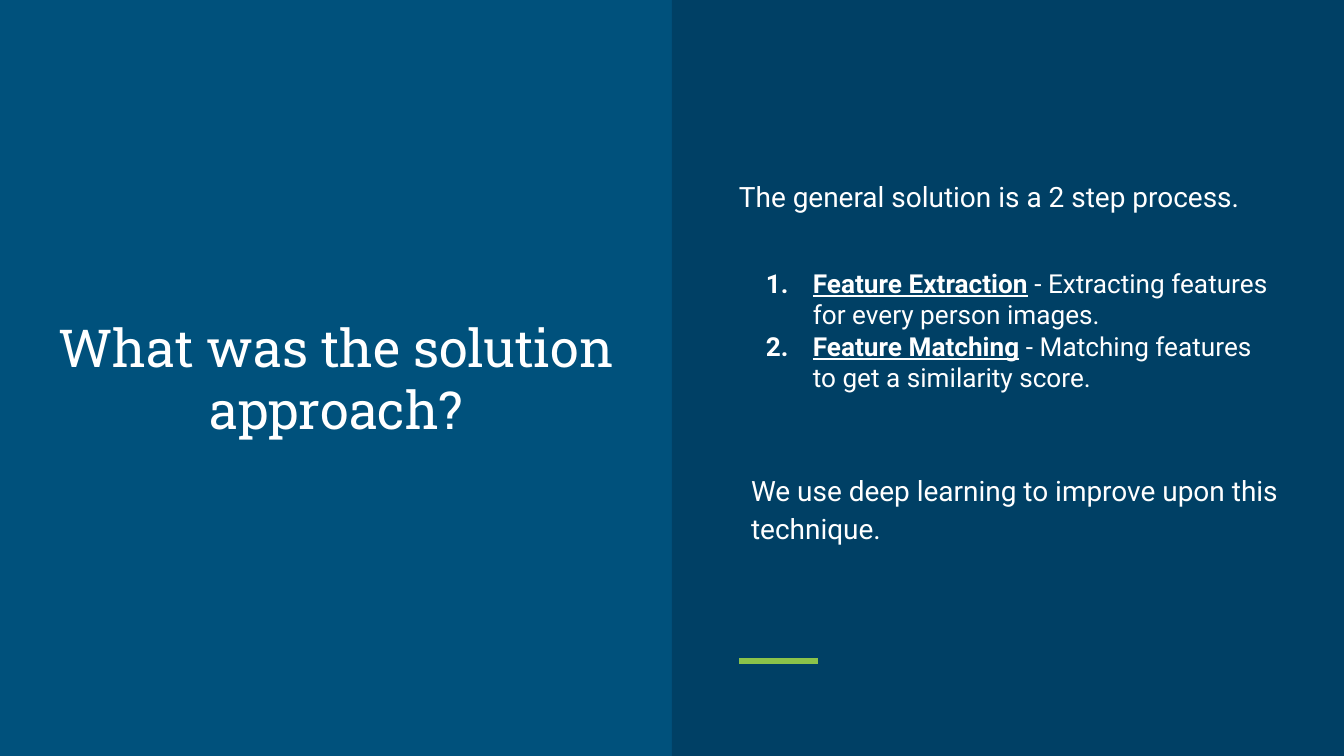
import pptx
import pptx.util
import pptx.dml.color
import pptx.enum.shapes
import pptx.enum.text
import pptx.oxml
import pptx.oxml.ns
import lxml.etree

Inches = pptx.util.Inches
Pt = pptx.util.Pt
anchor = pptx.enum.text.MSO_ANCHOR
qn = pptx.oxml.ns.qn
navy, white = "004065", "FFFFFF"


def tint(code):
    return pptx.dml.color.RGBColor.from_string(code)


def write(para, text, size, font="Roboto", bold=False):
    run = para.add_run()
    run.text = text
    run.font.size = Pt(size)
    run.font.name = font
    run.font.bold = bold
    run.font.underline = bold
    run.font.color.rgb = tint(white)


deck = pptx.Presentation()
deck.slide_width = Inches(10)
deck.slide_height = Inches(10) * 9 // 16
slide = deck.slides.add_slide(deck.slide_layouts[6])
slide.background.fill.solid()
slide.background.fill.fore_color.rgb = tint("00517C")

panel = slide.shapes.add_shape(
    pptx.enum.shapes.MSO_SHAPE.RECTANGLE,
    Inches(5), Inches(0), Inches(5), deck.slide_height)
panel.shadow.inherit = False
panel.fill.solid()
panel.fill.fore_color.rgb = tint(navy)
panel.line.fill.background()

rule = slide.shapes.add_connector(
    pptx.enum.shapes.MSO_CONNECTOR.STRAIGHT,
    Inches(5.5), Inches(4.92), Inches(6.09), Inches(4.92))
rule.line.color.rgb = tint("8BC34A")
rule.line.width = Pt(3)
lxml.etree.SubElement(rule._element.spPr, qn("a:effectLst"))

frames = []
for left, top, width, height, fill, align in [
    (5.4, 1.13, 4.2, 0.62, navy, anchor.MIDDLE),
    (0.29, 2.09, 4.42, 1.44, None, anchor.MIDDLE),
    (5.45, 1.89, 4.17, 1.14, navy, anchor.TOP),
    (5.49, 3.46, 4.2, 0.62, navy, anchor.MIDDLE),
]:
    box = slide.shapes.add_textbox(
        Inches(left), Inches(top), Inches(width), Inches(height))
    if fill:
        box.fill.solid()
        box.fill.fore_color.rgb = tint(fill)
    frame = box.text_frame
    frame.word_wrap = True
    frame.vertical_anchor = align
    frame.margin_left = frame.margin_right = Inches(0.1)
    frame.margin_top = frame.margin_bottom = Inches(0.1)
    frames.append(frame)
intro, title, steps, close = frames

para = title.paragraphs[0]
para.alignment = pptx.enum.text.PP_ALIGN.CENTER
write(para, "What was the solution approach?", 28, "Roboto Slab")

for frame, text in [
    (intro, "The general solution is a 2 step process."),
    (close, "We use deep learning to improve upon this technique."),
]:
    para = frame.paragraphs[0]
    para.line_spacing = 1.15
    para.space_after = Pt(16)
    write(para, text, 15)

for row, (name, text) in enumerate([
    ("Feature Extraction", " - Extracting features for every person images."),
    ("Feature Matching", " - Matching features to get a similarity score."),
]):
    para = steps.add_paragraph() if row else steps.paragraphs[0]
    props = para._p.get_or_add_pPr()
    props.set("marL", str(Inches(0.5)))
    props.set("indent", str(Inches(-0.35)))
    shade = lxml.etree.SubElement(props, qn("a:buClr"))
    lxml.etree.SubElement(shade, qn("a:srgbClr"), val=white)
    lxml.etree.SubElement(props, qn("a:buFont"), typeface="Roboto")
    lxml.etree.SubElement(props, qn("a:buAutoNum"), type="arabicPeriod")
    write(para, name, 14, bold=True)
    write(para, text, 14)

deck.save("out.pptx")
